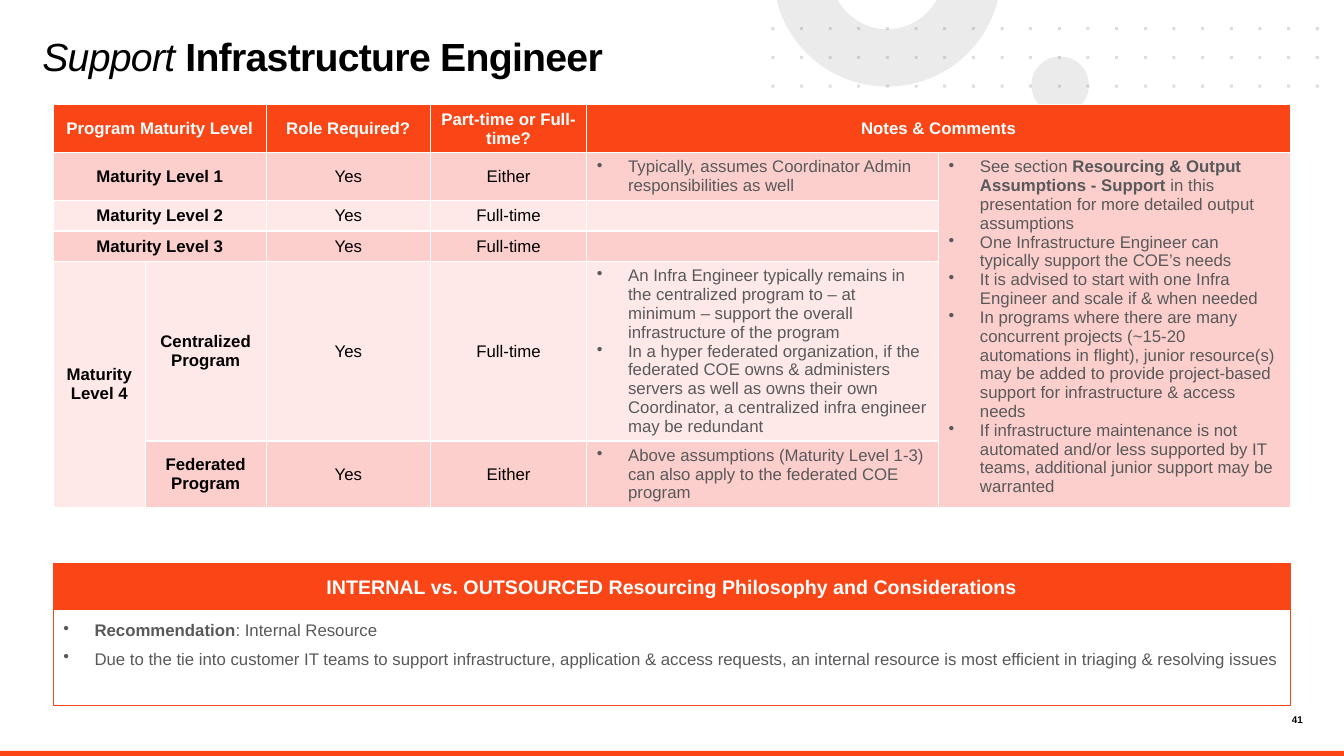
"""Build the Infrastructure Engineer resourcing slide."""
import math
from dataclasses import dataclass

from lxml import etree
from pptx import Presentation, util as u
from pptx.dml.color import RGBColor
from pptx.enum import shapes, text
from pptx.oxml.ns import qn


@dataclass(frozen=True)
class Theme:
    """Colours, font and type sizes of the slide."""
    orange: str = "FA4616"
    dark_tint: str = "FDCFCC"
    light_tint: str = "FEE9E8"
    white: str = "FFFFFF"
    black: str = "000000"
    grey: str = "58595B"
    pale_grey: str = "D9D9D9"
    font: str = "Arial"
    title: float = 28
    heading: float = 14
    body: float = 12
    footer: float = 7


THEME = Theme()
CENTER = text.PP_ALIGN.CENTER
MIDDLE = text.MSO_ANCHOR.MIDDLE
HEADERS = {0: "Program Maturity Level", 2: "Role Required?",
           3: "Part-time or Full-time?", 4: "Notes & Comments"}
LEVELS = [
    ("Maturity Level 1", "", "Yes", "Either",
     ["Typically, assumes Coordinator Admin responsibilities as well"]),
    ("Maturity Level 2", "", "Yes", "Full-time", []),
    ("Maturity Level 3", "", "Yes", "Full-time", []),
    ("Maturity Level 4", "Centralized Program", "Yes", "Full-time",
     ["An Infra Engineer typically remains in the centralized program to – at minimum – "
      "support the overall infrastructure of the program",
      "In a hyper federated organization, if the federated COE owns & administers servers as "
      "well as owns their own Coordinator, a centralized infra engineer may be redundant"]),
    ("", "Federated Program", "Yes", "Either",
     ["Above assumptions (Maturity Level 1-3) can also apply to the federated COE program"]),
]
GENERAL_NOTES = [
    "See section **Resourcing & Output Assumptions - Support **in this presentation for more "
    "detailed output assumptions",
    "One Infrastructure Engineer can typically support the COE’s needs",
    "It is advised to start with one Infra Engineer and scale if & when needed",
    "In programs where there are many concurrent projects (~15-20 automations in flight), "
    "junior resource(s) may be added to provide project-based support for infrastructure & "
    "access needs",
    "If infrastructure maintenance is not automated and/or less supported by IT teams, "
    "additional junior support may be warranted",
]
CONSIDERATIONS = [
    "**Recommendation**: Internal Resource",
    "Due to the tie into customer IT teams to support infrastructure, application & access "
    "requests, an internal resource is most efficient in triaging & resolving issues",
]


def inches(*values):
    """Convert numbers to lengths in inches."""
    return [u.Inches(value) for value in values]


def format_run(run, size, color, bold=False, italic=False):
    """Apply the theme font to a run."""
    font = run.font
    font.name, font.size, font.bold, font.italic = THEME.font, u.Pt(size), bold, italic
    font.color.rgb = RGBColor.from_string(color)


def write_line(frame, line, size, color, bold=False, align=CENTER):
    """Write one formatted paragraph into a text frame."""
    paragraph = frame.paragraphs[0]
    paragraph.text = line
    paragraph.alignment = align
    for run in paragraph.runs:
        format_run(run, size, color, bold)


def write_bullets(frame, lines, space_after=0):
    """Write bulleted paragraphs, with bold between double asterisks."""
    for index, line in enumerate(lines):
        paragraph = frame.add_paragraph() if index else frame.paragraphs[0]
        properties = paragraph._p.get_or_add_pPr()
        properties.set("marL", str(u.Inches(0.31)))
        properties.set("indent", str(u.Inches(-0.31)))
        etree.SubElement(properties, qn("a:buChar")).set("char", "•")
        paragraph.alignment = text.PP_ALIGN.LEFT
        paragraph.space_after = u.Pt(space_after)
        for part, piece in enumerate(line.split("**")):
            if piece:
                run = paragraph.add_run()
                run.text = piece
                format_run(run, THEME.body, THEME.grey, bold=part % 2 == 1)


def paint(shape, color, line=None, opacity=100):
    """Set the fill, outline and opacity of a shape."""
    shape.shadow.inherit = False
    shape.fill.solid()
    shape.fill.fore_color.rgb = RGBColor.from_string(color)
    if opacity < 100:
        fill_color = shape._element.spPr.find(qn("a:solidFill"))[0]
        etree.SubElement(fill_color, qn("a:alpha")).set("val", str(opacity * 1000))
    if line:
        shape.line.color.rgb = RGBColor.from_string(line)
        shape.line.width = u.Pt(0.75)
    else:
        shape.line.fill.background()


def add_decoration(slide, box):
    """Draw the ring, the disc and the dot grid in the top corner."""
    left, top, width, height = box
    disc = slide.shapes.add_shape(shapes.MSO_SHAPE.OVAL,
                                  *inches(left + 2.58, top + 0.56, 0.57, 0.57))
    paint(disc, THEME.pale_grey, opacity=50)

    center_x, center_y, steps = left + 1.15, top - 0.27, 48
    outline = []
    for radius, direction in ((1.13, 1), (0.56, -1)):
        start = math.asin((top - center_y) / radius)
        angles = [start + (math.pi - 2 * start) * step / steps for step in range(steps + 1)]
        outline += [inches(center_x + radius * math.cos(angle),
                           center_y + radius * math.sin(angle))
                    for angle in angles[::direction]]
    ring = slide.shapes.build_freeform(*outline[0])
    ring.add_line_segments(outline[1:])
    paint(ring.convert_to_shape(), THEME.pale_grey, opacity=50)

    columns, rows, dot = 20, 3, 0.03
    corners = [inches(left + (width - dot) * column / (columns - 1),
                      top + 0.27 + (height - 0.27 - dot) * row / (rows - 1))
               for row in range(rows) for column in range(columns)]
    side = u.Inches(dot)
    dots = slide.shapes.build_freeform(*corners[0])
    for x, y in corners:
        dots.move_to(x, y)
        dots.add_line_segments([(x + side, y), (x + side, y + side), (x, y + side)])
    paint(dots.convert_to_shape(), THEME.grey, opacity=20)


def add_title(slide, box):
    """Place the title with its italic and bold parts."""
    title = slide.shapes.title
    title.left, title.top, title.width, title.height = inches(*box)
    frame = title.text_frame
    frame.margin_left = frame.margin_top = frame.margin_right = frame.margin_bottom = 0
    frame.vertical_anchor = text.MSO_ANCHOR.TOP
    frame.auto_size = text.MSO_AUTO_SIZE.NONE
    paragraph = frame.paragraphs[0]
    paragraph.alignment = text.PP_ALIGN.LEFT
    paragraph.line_spacing = 0.85
    for words, bold in (("Support ", False), ("Infrastructure Engineer", True)):
        run = paragraph.add_run()
        run.text = words
        format_run(run, THEME.title, THEME.black, bold, italic=not bold)
        run._r.get_or_add_rPr().set("spc", "-50")


def add_maturity_table(slide, box):
    """Place the table of roles by program maturity level."""
    widths = [0.91, 1.2, 1.63, 1.55, 3.49, 3.49]
    heights = [0.47, 0.47, 0.29, 0.29, 1.78, 0.66]
    table = slide.shapes.add_table(len(heights), len(widths), *inches(*box)).table
    table.horz_banding = False
    for column, width in zip(table.columns, widths):
        column.width = u.Inches(width)
    for row, height in zip(table.rows, heights):
        row.height = u.Inches(height)
    for first, last in (((0, 0), (0, 1)), ((0, 4), (0, 5)), ((1, 0), (1, 1)), ((2, 0), (2, 1)),
                        ((3, 0), (3, 1)), ((4, 0), (5, 0)), ((1, 5), (5, 5))):
        table.cell(*first).merge(table.cell(*last))

    for column, heading in HEADERS.items():
        write_line(table.cell(0, column).text_frame, heading, THEME.body, THEME.white, True)
    for row, (*labels, notes) in enumerate(LEVELS, start=1):
        for column, label in enumerate(labels):
            write_line(table.cell(row, column).text_frame, label, THEME.body, THEME.black,
                       bold=column < 2)
        write_bullets(table.cell(row, 4).text_frame, notes)
    write_bullets(table.cell(1, 5).text_frame, GENERAL_NOTES)

    for row in range(len(heights)):
        tint = THEME.dark_tint if row % 2 else THEME.light_tint
        for column in range(len(widths)):
            cell = table.cell(row, column)
            cell.fill.solid()
            cell.fill.fore_color.rgb = RGBColor.from_string(tint if row else THEME.orange)
            if row == 0 or column < 4:
                cell.vertical_anchor = MIDDLE
            if not cell.text_frame.text:
                ending = cell.text_frame.paragraphs[0]._p.get_or_add_endParaRPr()
                ending.set("sz", str(THEME.body * 100))


def add_panel(slide, box, color):
    """Add an outlined rectangle and return its text frame."""
    panel = slide.shapes.add_shape(shapes.MSO_SHAPE.RECTANGLE, *inches(*box))
    paint(panel, color, THEME.orange)
    frame = panel.text_frame
    frame.word_wrap = True
    frame.margin_left = frame.margin_top = u.Inches(0.1)
    frame.margin_right = frame.margin_bottom = u.Inches(0.1)
    return frame


def add_considerations(slide, box):
    """Place the resourcing considerations under their heading."""
    left, top, width, height = box
    band = 0.46
    body = add_panel(slide, (left, top + band, width, height - band), THEME.white)
    body.vertical_anchor = text.MSO_ANCHOR.TOP
    write_bullets(body, CONSIDERATIONS, space_after=6)
    heading = add_panel(slide, (left, top, width, band), THEME.orange)
    heading.vertical_anchor = MIDDLE
    write_line(heading, "INTERNAL vs. OUTSOURCED Resourcing Philosophy and Considerations",
               THEME.heading, THEME.white, True)


def add_footer(slide, box):
    """Place the page number and the bottom bar."""
    left, top, width, height = box
    bar = slide.shapes.add_shape(shapes.MSO_SHAPE.RECTANGLE,
                                 *inches(left, top + height - 0.05, width, 0.05))
    paint(bar, THEME.orange)
    number = slide.shapes.add_textbox(*inches(left + width - 0.8, top, 0.39, 0.13))
    frame = number.text_frame
    frame.word_wrap = True
    frame.margin_left = frame.margin_top = frame.margin_right = frame.margin_bottom = 0
    write_line(frame, "41", THEME.footer, THEME.black, True, text.PP_ALIGN.RIGHT)


def main():
    """Build and save the presentation."""
    presentation = Presentation()
    presentation.slide_width, presentation.slide_height = inches(13.33, 7.5)
    slide = presentation.slides.add_slide(presentation.slide_layouts[5])
    add_decoration(slide, (7.65, 0, 5.43, 0.87))
    add_title(slide, (0.42, 0.39, 7.23, 0.75))
    add_maturity_table(slide, (0.53, 1.04, 12.27, 3.96))
    add_considerations(slide, (0.53, 5.59, 12.27, 1.41))
    add_footer(slide, (0, 7.08, 13.33, 0.42))
    presentation.save("out.pptx")


if __name__ == "__main__":
    main()
